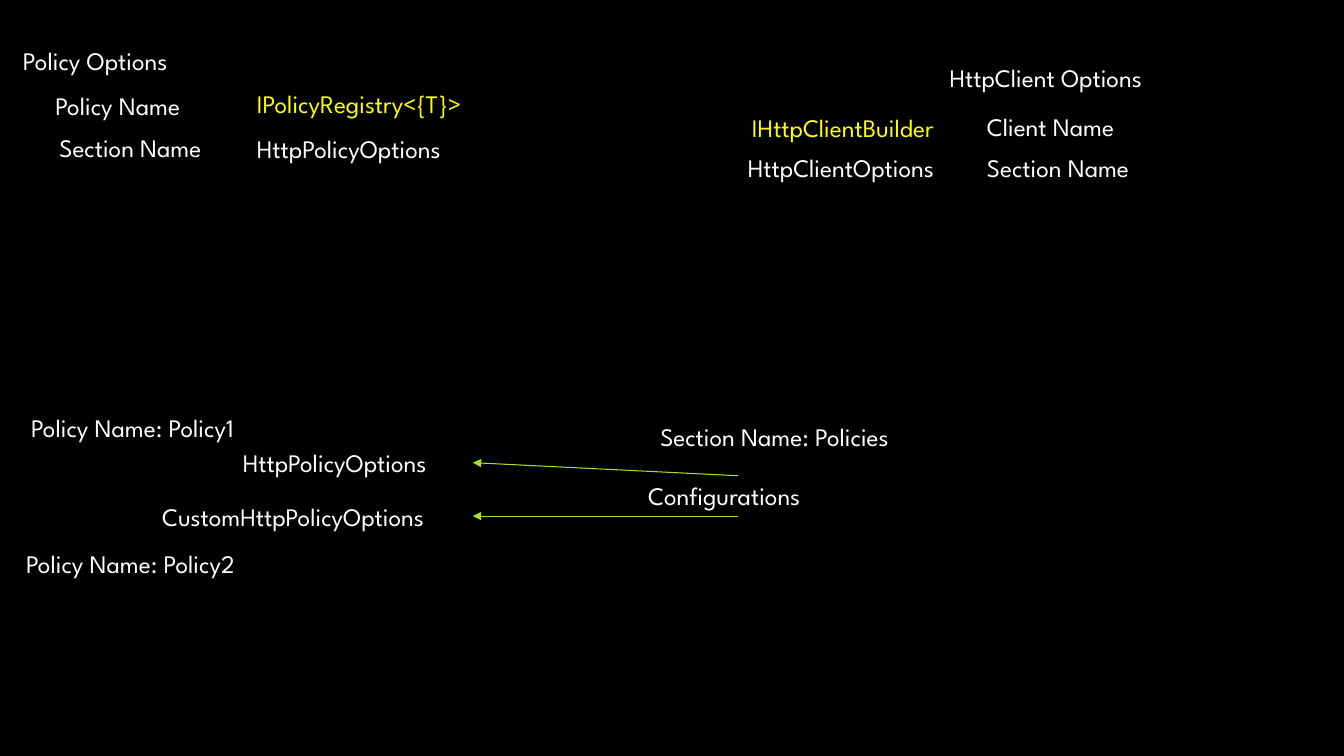
from lxml.etree import SubElement
from pptx import Presentation
from pptx.dml.color import RGBColor
from pptx.enum.shapes import MSO_CONNECTOR
from pptx.enum.text import MSO_AUTO_SIZE
from pptx.oxml.ns import qn
from pptx.util import Inches, Pt

BLACK = RGBColor(0x00, 0x00, 0x00)
WHITE = RGBColor(0xFF, 0xFF, 0xFF)
YELLOW = RGBColor(0xFF, 0xFF, 0x00)
LIME = RGBColor(0xA9, 0xE0, 0x23)
FONT = {"name": "League Spartan", "size": Pt(18)}
LABEL_HEIGHT = 0.4
LABEL_WIDTH = 3.43

deck = Presentation()
deck.slide_width, deck.slide_height = Inches(13.33), Inches(7.5)
page = deck.slides.add_slide(deck.slide_layouts[6])
page.background.fill.solid()
page.background.fill.fore_color.rgb = BLACK


def add_label(text, left, top, width=LABEL_WIDTH, color=WHITE, wrap=True):
    box = page.shapes.add_textbox(Inches(left), Inches(top), Inches(width), Inches(LABEL_HEIGHT))
    box.text_frame.word_wrap = wrap
    box.text_frame.auto_size = MSO_AUTO_SIZE.SHAPE_TO_FIT_TEXT
    span = box.text_frame.paragraphs[0].add_run()
    span.text = text
    for attribute, value in FONT.items():
        setattr(span.font, attribute, value)
    span.font.color.rgb = color
    return box


def add_arrow(left, top, end_left, end_top):
    arrow = page.shapes.add_connector(
        MSO_CONNECTOR.STRAIGHT, Inches(left), Inches(top), Inches(end_left), Inches(end_top))
    arrow.line.color.rgb = LIME
    arrow.line.width = Pt(0.75)
    SubElement(arrow.line._get_or_add_ln(), qn("a:tailEnd"), type="triangle")
    SubElement(arrow._element.spPr, qn("a:effectLst"))
    return arrow


# Policy side
add_label("Policy Options", 0.13, 0.4)
add_label("Policy Name", 0.45, 0.85)
add_label("Section Name", 0.49, 1.26)
add_label("IPolicyRegistry<{T}>", 2.45, 0.83, color=YELLOW)
add_label("HttpPolicyOptions", 2.45, 1.27, 2.38, wrap=False)

# Client side
add_label("HttpClient Options", 9.32, 0.57)
add_label("Client Name", 9.69, 1.06)
add_label("Section Name", 9.69, 1.46)
add_label("IHttpClientBuilder", 7.36, 1.07, 2.3, YELLOW, wrap=False)
add_label("HttpClientOptions", 7.32, 1.46, 2.37, wrap=False)

# Policies bound to configurations
add_label("Policy Name: Policy1", 0.21, 4.04)
policy_options = add_label("HttpPolicyOptions", 2.31, 4.39, 2.38, wrap=False)
add_label("CustomHttpPolicyOptions", 1.51, 4.92, 3.32, wrap=False)
add_label("Policy Name: Policy2", 0.16, 5.39)
add_label("Section Name: Policies", 6.45, 4.13, 3.25)
configurations = add_label("Configurations", 6.33, 4.72, 1.98, wrap=False)

policy_arrow = add_arrow(7.32, 4.72, 4.69, 4.59)
policy_arrow.begin_connect(configurations, 0)
policy_arrow.end_connect(policy_options, 3)
custom_arrow = add_arrow(7.32, 5.12, 4.69, 5.12)
custom_arrow.begin_connect(configurations, 2)

deck.save("out.pptx")
